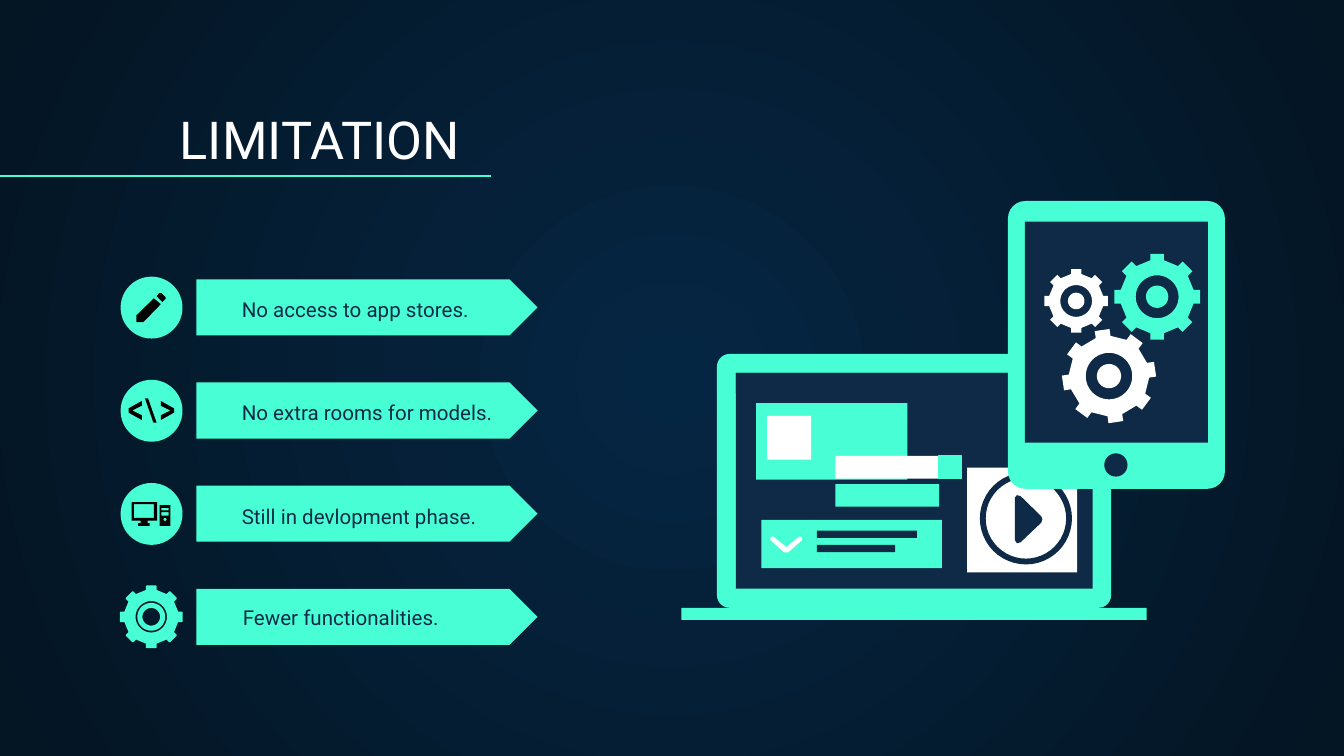
"""Build the LIMITATION slide: four labelled arrows beside a laptop and a tablet."""
from math import cos, pi, radians, sin

from pptx import Presentation
from pptx.dml.color import RGBColor as RGB
from pptx.enum.shapes import MSO_CONNECTOR as CONN, MSO_SHAPE as SHAPE
from pptx.enum.text import MSO_ANCHOR as ANCHOR, PP_ALIGN as ALIGN
from pptx.oxml import parse_xml
from pptx.oxml.ns import nsdecls, qn
from pptx.util import Cm, Pt

COLORS = {
    "mint": "48FFD5", "navy": "0E2A47", "white": "FFFFFF", "black": "000000",
    "glow": "052643", "edge": "041523",
}


def box(left, top, right, bottom):
    return [(left, top), (right, top), (right, bottom), (left, bottom)]


def circle(r, cx=0, cy=0, n=48):
    return [(cx + r * cos(2 * pi * i / n), cy + r * sin(2 * pi * i / n)) for i in range(n)]


def cog(r, root, half, turn=0, teeth=8):
    pts = []
    for i in range(teeth):
        a = radians(turn) + 2 * pi * i / teeth
        for x, y in ((root, -half), (1, -half), (1, half), (root, half)):
            pts.append((r * (x * cos(a) - y * sin(a)), r * (x * sin(a) + y * cos(a))))
    return pts


def mirror(pts):
    return [(-x, y) for x, y in pts]


class Deck:
    def __init__(self):
        self.prs = Presentation()
        self.prs.slide_width, self.prs.slide_height = Cm(25.4), Cm(14.29)
        self.s = self.prs.slides.add_slide(self.prs.slide_layouts[6])
        self.font = "Roboto"

    def color(self, name):
        return RGB.from_string(COLORS[name])

    def background(self, inner, outer):
        fill = self.s.background.fill
        fill.gradient()
        for stop, name in zip(fill.gradient_stops, (inner, outer)):
            stop.color.rgb = self.color(name)
        grad = self.s.element.find(".//" + qn("a:gradFill"))
        radial = parse_xml(
            f'<a:path {nsdecls("a")} path="circle">'
            '<a:fillToRect l="50000" t="50000" r="50000" b="50000"/></a:path>')
        grad.replace(grad.find(qn("a:lin")), radial)

    def paint(self, sp, fill, line=None):
        sp.shadow.inherit = False
        sp.fill.solid()
        sp.fill.fore_color.rgb = self.color(fill)
        if line:
            sp.line.color.rgb = self.color(line)
            sp.line.width = Pt(0.75)
        else:
            sp.line.fill.background()
        return sp

    def shape(self, kind, x, y, w, h, fill, line=None, adj=None):
        sp = self.s.shapes.add_shape(kind, Cm(x), Cm(y), Cm(w), Cm(h))
        if adj is not None:
            sp.adjustments[0] = adj
        return self.paint(sp, fill, line)

    def free(self, cx, cy, fill, *contours, line=None):
        fb = None
        for pts in contours:
            pts = [(Cm(cx + x), Cm(cy + y)) for x, y in pts]
            if fb is None:
                fb = self.s.shapes.build_freeform(*pts[0])
            else:
                fb.move_to(*pts[0])
            fb.add_line_segments(pts[1:], close=True)
        return self.paint(fb.convert_to_shape(), fill, line)

    def line(self, x1, y1, x2, y2, color):
        c = self.s.shapes.add_connector(CONN.STRAIGHT, Cm(x1), Cm(y1), Cm(x2), Cm(y2))
        c.line.color.rgb = self.color(color)
        c.line.width = Pt(0.75)
        c._element.spPr.append(parse_xml(f'<a:effectLst {nsdecls("a")}/>'))

    def label(self, sp, text, size, color, anchor, left=0.25):
        tf = sp.text_frame
        frame = {"word_wrap": True, "vertical_anchor": anchor, "margin_left": Cm(left),
                 "margin_right": Cm(0.25), "margin_top": Cm(0.25), "margin_bottom": Cm(0.25)}
        for key, value in frame.items():
            setattr(tf, key, value)
        p = tf.paragraphs[0]
        p.alignment = ALIGN.LEFT
        r = p.add_run()
        r.text = text
        for key, value in {"name": self.font, "size": Pt(size)}.items():
            setattr(r.font, key, value)
        r.font.color.rgb = self.color(color)

    def text(self, x, y, w, h, text, size, color):
        sp = self.s.shapes.add_textbox(Cm(x), Cm(y), Cm(w), Cm(h))
        self.label(sp, text, size, color, ANCHOR.BOTTOM)


def draw_list(d):
    labels = ["No access to app stores.", "No extra rooms for models.",
              "Still in devlopment phase.", "Fewer functionalities."]
    pencil = [
        [(0.05, -0.17), (-0.28, 0.15), (-0.28, 0.28), (-0.15, 0.28), (0.18, -0.06)],
        [(0.15, -0.27), (0.1, -0.21), (0.21, -0.1), (0.27, -0.16), (0.27, -0.19), (0.19, -0.27)],
    ]
    bracket = [(-0.18, -0.18), (-0.43, -0.04), (-0.43, 0.04), (-0.18, 0.18),
               (-0.18, 0.09), (-0.36, 0), (-0.18, -0.09)]
    slash = [(-0.12, -0.23), (-0.06, -0.23), (0.1, 0.23), (0.04, 0.23)]
    monitor = [(-0.37, -0.22), (0.11, -0.22), (0.11, 0.13), (-0.07, 0.13), (-0.07, 0.18),
               (-0.03, 0.18), (-0.03, 0.23), (-0.25, 0.23), (-0.25, 0.18), (-0.2, 0.18),
               (-0.2, 0.13), (-0.37, 0.13)]
    tower = [box(0.16, -0.16, 0.36, 0.23), box(0.19, -0.11, 0.33, -0.06),
             box(0.19, -0.03, 0.33, 0.04), circle(0.03, 0.26, 0.11)]
    icons = [[pencil], [[bracket], [slash], [mirror(bracket)]],
             [[monitor, box(-0.33, -0.18, 0.05, 0.08)], tower], None]

    cx = 2.86
    for i, (label, icon) in enumerate(zip(labels, icons)):
        cy = 5.81 + 1.95 * i
        bar = d.shape(SHAPE.PENTAGON, 3.71, cy - 0.53, 6.45, 1.06, "mint", adj=0.5)
        if icon:
            d.text(4.32, cy - 0.02, 5.77, 0.53, label, 11, "navy")
            d.shape(SHAPE.OVAL, cx - 0.58, cy - 0.58, 1.17, 1.17, "mint")
            for part in icon:
                d.free(cx, cy, "black", *part)
        else:
            d.label(bar, label, 11, "navy", ANCHOR.MIDDLE, left=0.88)
            d.free(cx, cy, "mint", cog(0.58, 0.86, 0.15), circle(0.31), line="mint")
            d.free(cx, cy, "mint", circle(0.25), circle(0.18), line="mint")


def draw_laptop(d):
    d.shape(SHAPE.ROUNDED_RECTANGLE, 13.55, 6.69, 7.45, 4.8, "mint", adj=0.05)
    blocks = [
        (13.91, 7.05, 6.74, 4.08, "navy"), (12.88, 11.49, 8.79, 0.23, "mint"),
        (13.91, 7.05, 6.74, 0.38, "navy"), (14.29, 7.62, 2.86, 1.45, "mint"),
        (14.5, 7.86, 0.83, 0.83, "white"), (15.29, 9.83, 2.51, 0.91, "mint"),
        (15.44, 10.03, 1.89, 0.14, "navy"), (15.44, 10.3, 1.48, 0.14, "navy"),
        (14.39, 9.83, 0.9, 0.91, "mint"), (15.79, 9.15, 1.96, 0.43, "mint"),
        (15.79, 8.62, 1.96, 0.43, "white"), (17.74, 8.62, 0.43, 0.43, "mint", "mint"),
        (18.28, 8.84, 2.08, 1.98, "white"),
    ]
    for block in blocks:
        d.shape(SHAPE.RECTANGLE, *block)
    chevron = [(-0.25, -0.15), (0, 0.05), (0.25, -0.15), (0.3, -0.13), (0.3, -0.08),
               (0.04, 0.15), (-0.04, 0.15), (-0.3, -0.08), (-0.3, -0.13)]
    play = [(-0.21, -0.39), (-0.17, -0.44), (-0.1, -0.42), (0.29, -0.04), (0.31, 0.02),
            (0.29, 0.08), (-0.1, 0.45), (-0.17, 0.47), (-0.21, 0.41)]
    d.free(14.86, 10.29, "white", chevron)
    d.free(19.39, 9.8, "navy", circle(0.87), circle(0.76))
    d.free(19.39, 9.8, "navy", play)


def draw_tablet(d):
    d.shape(SHAPE.ROUNDED_RECTANGLE, 19.05, 3.8, 4.1, 5.44, "mint", adj=0.08)
    d.shape(SHAPE.RECTANGLE, 19.37, 4.19, 3.46, 4.18, "navy")
    d.shape(SHAPE.OVAL, 20.87, 8.57, 0.44, 0.44, "navy")
    for cx, cy, r, turn, color in ((21.87, 5.61, 0.81, 0, "mint"), (20.34, 5.69, 0.6, 0, "white"),
                                   (20.96, 7.11, 0.88, -8.5, "white")):
        d.free(cx, cy, color, cog(r, 0.85, 0.16, turn), circle(0.5 * r), circle(0.26 * r))


def main():
    d = Deck()
    d.background("glow", "edge")
    d.text(3.15, 1.78, 21.39, 1.68, "LIMITATION", 28, "white")
    d.line(0, 3.33, 9.27, 3.33, "mint")
    draw_list(d)
    draw_laptop(d)
    draw_tablet(d)
    d.prs.save("out.pptx")


if __name__ == "__main__":
    main()
